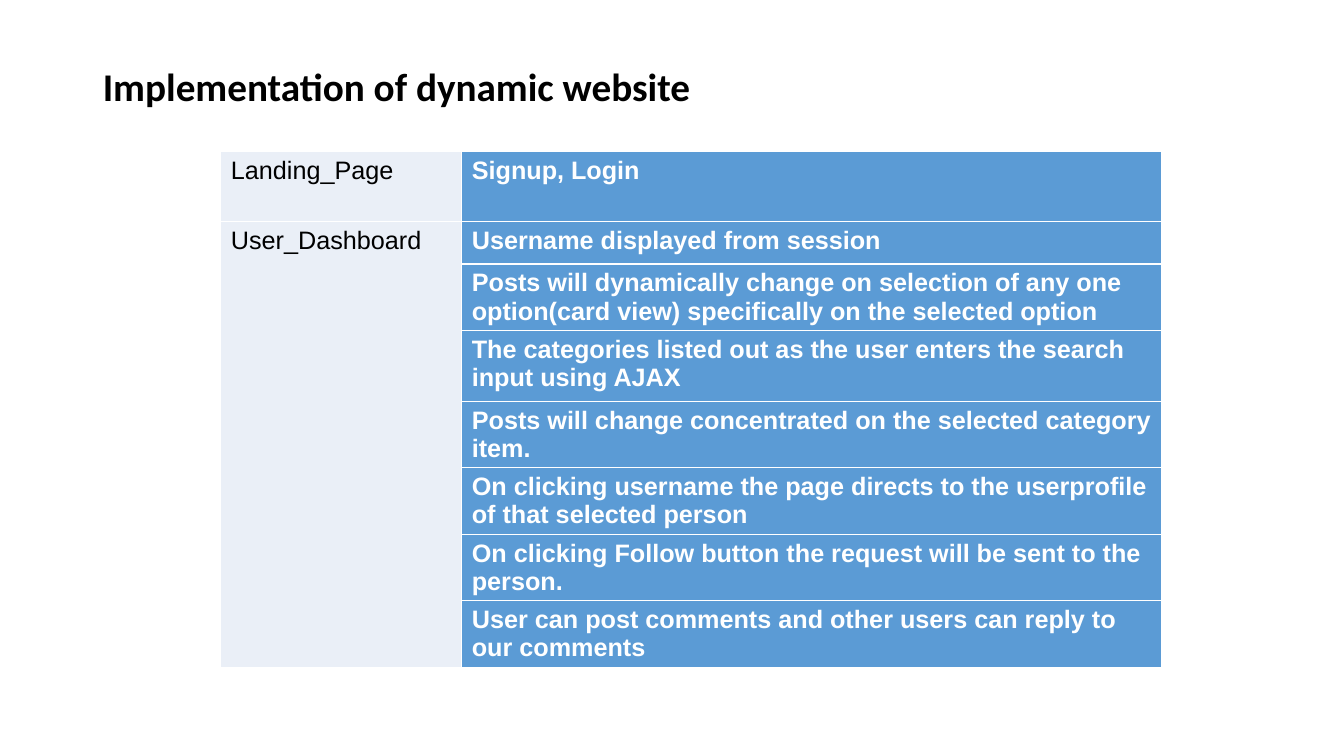
from lxml import etree
from pptx import Presentation
from pptx import util as u
from pptx.dml.color import RGBColor
from pptx.enum import text
from pptx.oxml.ns import qn

PX = 9144  # EMU per px, 100 px to the inch
BLACK, WHITE = "000000", "FFFFFF"
PALE, BLUE = "EAEFF7", "5B9BD5"

PAGES = [
    ("Landing_Page", ["Signup, Login"]),
    ("User_Dashboard", [
        "Username displayed from session",
        "Posts will dynamically change on selection of any one option(card view) "
        "specifically on the selected option",
        "The categories listed out as the user enters the search input using AJAX",
        "Posts will change concentrated on the selected category item.",
        "On clicking username the page directs to the userprofile of that selected person",
        "On clicking Follow button the request will be sent to the person.",
        "User can post comments and other users can reply to our comments",
    ]),
]
COLUMN_WIDTHS = [239, 694]
ROW_HEIGHTS = [70, 42, 66, 70, 66, 66, 66, 66]


def px(length):
    return u.Emu(length * PX)


def color(hex_value):
    return RGBColor.from_string(hex_value)


def write(frame, words, size=18, font="Arial", ink=BLACK, bold=False, spacing=1.0):
    paragraph = frame.paragraphs[0]
    paragraph.alignment = text.PP_ALIGN.LEFT
    paragraph.line_spacing = spacing
    run = paragraph.add_run()
    run.text = words
    run.font.size = u.Pt(size)
    run.font.name = font
    run.font.bold = bold
    run.font.color.rgb = color(ink)


def paint_cell(cell, fill):
    """Give the cell thin white borders and a solid fill."""
    properties = cell._tc.get_or_add_tcPr()
    for side in ("a:lnL", "a:lnR", "a:lnT", "a:lnB"):
        border = etree.SubElement(properties, qn(side), w=str(u.Pt(1)))
        solid = etree.SubElement(border, qn("a:solidFill"))
        etree.SubElement(solid, qn("a:srgbClr"), val=WHITE)
    cell.fill.solid()
    cell.fill.fore_color.rgb = color(fill)


def add_title(slide, words):
    title = slide.shapes.title
    title.left, title.top, title.width, title.height = map(px, (92, 16, 1150, 145))
    frame = title.text_frame
    frame.auto_size = text.MSO_AUTO_SIZE.NONE
    frame.vertical_anchor = text.MSO_ANCHOR.MIDDLE
    write(frame, words, size=28, font="Calibri", bold=True, spacing=0.9)


def add_feature_table(slide, left, top):
    table = slide.shapes.add_table(
        len(ROW_HEIGHTS), len(COLUMN_WIDTHS), px(left), px(top),
        px(sum(COLUMN_WIDTHS)), px(sum(ROW_HEIGHTS))).table
    table.first_row = table.horz_banding = False
    for column, width in zip(table.columns, COLUMN_WIDTHS):
        column.width = px(width)
    for row, height in zip(table.rows, ROW_HEIGHTS):
        row.height = px(height)
        for cell, fill in zip(row.cells, (PALE, BLUE)):
            paint_cell(cell, fill)

    first = 0
    for page, features in PAGES:
        page_cell = table.cell(first, 0)
        if len(features) > 1:
            page_cell.merge(table.cell(first + len(features) - 1, 0))
        write(page_cell.text_frame, page)
        for index, feature in enumerate(features, first):
            write(table.cell(index, 1).text_frame, feature, ink=WHITE, bold=True)
        first += len(features)


def main():
    deck = Presentation()
    deck.slide_width, deck.slide_height = px(1333), px(750)
    slide = deck.slides.add_slide(deck.slide_layouts[5])
    add_title(slide, "Implementation of dynamic website")
    add_feature_table(slide, 219, 150)
    deck.save("out.pptx")


if __name__ == "__main__":
    main()
